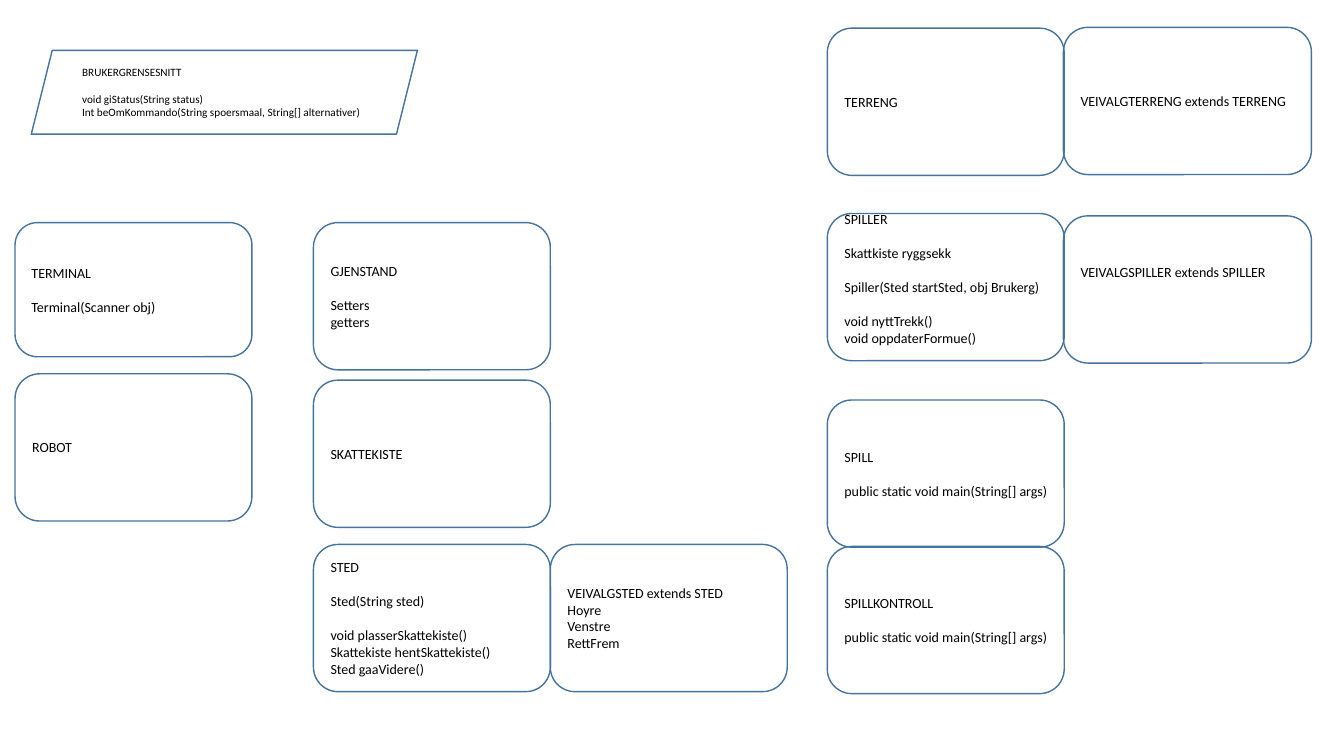
from pptx import Presentation
from pptx.dml.color import RGBColor
from pptx.enum.shapes import MSO_SHAPE
from pptx.enum.text import MSO_ANCHOR, PP_ALIGN
from pptx.util import Cm, Pt

FONT = "Calibri"
OUTLINE = "43739E"
TEXT = "000000"
LINE_HEIGHT = 1.22  # line pitch as a multiple of the font size
INSET = 0.13

# Left edges of the columns, in centimetres
TERMINALS, ITEMS, ITEM_SUBCLASSES, GAME, GAME_SUBCLASSES = 0.38, 7.9, 13.87, 20.85, 26.8
BOX_WIDTH, BOX_HEIGHT = 5.97, 3.71
WIDE = 6.25
MAIN_METHOD = "public static void main(String[] args)"

# Each class: left, top, sections of its text, exceptions to the usual box
CLASSES = [
    (TERMINALS, 5.61, ["TERMINAL", "Terminal(Scanner obj)"], {"height": 3.38}),
    (TERMINALS, 9.42, ["ROBOT"], {}),
    (ITEMS, 5.61, ["GJENSTAND", "Setters\ngetters"], {}),
    (GAME, 0.71, ["TERRENG"], {}),
    (ITEMS, 13.72, ["STED", "Sted(String sted)",
                    "void plasserSkattekiste()\n"
                    "Skattekiste hentSkattekiste()\n"
                    "Sted gaaVidere()"], {}),
    (ITEMS, 9.58, ["SKATTEKISTE"], {}),
    (GAME, 5.38, ["SPILLER", "Skattkiste ryggsekk",
                  "Spiller(Sted startSted, obj Brukerg)",
                  "void nyttTrekk()\nvoid oppdaterFormue()"], {"lines_below": 1}),
    (GAME, 10.08, ["SPILL", MAIN_METHOD], {}),
    (GAME, 13.77, ["SPILLKONTROLL", MAIN_METHOD], {}),
    (ITEM_SUBCLASSES, 13.72,
     ["VEIVALGSTED extends STED\nHoyre\nVenstre\nRettFrem"], {}),
    (GAME_SUBCLASSES, 5.44, ["VEIVALGSPILLER extends SPILLER"],
     {"width": WIDE, "lines_below": 2}),
    (GAME_SUBCLASSES, 0.69, ["VEIVALGTERRENG extends TERRENG"], {"width": WIDE}),
]


def color(hex_value):
    """Turn a hex string into a colour."""
    return RGBColor.from_string(hex_value)


def add_line(paragraph, text, size=10, gap=0):
    """Write one left-aligned line of text with a gap above it."""
    paragraph.alignment = PP_ALIGN.LEFT
    paragraph.space_before = Pt(gap)
    run = paragraph.add_run()
    run.text = text
    run.font.name = FONT
    run.font.size = Pt(size)
    run.font.color.rgb = color(TEXT)


def add_sections(text_frame, sections, size):
    """Write sections of lines, one line height apart."""
    paragraph = text_frame.paragraphs[0]
    for section_index, section in enumerate(sections):
        for line_index, line in enumerate(section.split("\n")):
            starts_section = section_index > 0 and line_index == 0
            if section_index or line_index:
                paragraph = text_frame.add_paragraph()
            add_line(paragraph, line, size=size,
                     gap=size * LINE_HEIGHT if starts_section else 0)


def add_box(slide, left, top, sections, width=BOX_WIDTH, height=BOX_HEIGHT,
            preset=MSO_SHAPE.ROUNDED_RECTANGLE, size=10, lines_below=0):
    """Add an outlined box with text, keeping some lines free below it."""
    shape = slide.shapes.add_shape(preset, Cm(left), Cm(top), Cm(width), Cm(height))
    shape.shadow.inherit = False
    shape.fill.background()
    shape.line.color.rgb = color(OUTLINE)
    shape.line.width = Pt(1)
    text_frame = shape.text_frame
    text_frame.word_wrap = True
    text_frame.vertical_anchor = MSO_ANCHOR.MIDDLE
    text_frame.margin_bottom = Cm(INSET) + Pt(lines_below * size * LINE_HEIGHT)
    add_sections(text_frame, sections, size)


def main():
    """Build the class overview and save it."""
    presentation = Presentation()
    presentation.slide_width = Cm(33.87)
    presentation.slide_height = Cm(19.05)
    slide = presentation.slides.add_slide(presentation.slide_layouts[6])
    add_box(slide, 0.79, 1.27,
            ["BRUKERGRENSESNITT",
             "void giStatus(String status)\n"
             "Int beOmKommando(String spoersmaal, String[] alternativer)"],
            width=9.73, height=2.11, preset=MSO_SHAPE.PARALLELOGRAM, size=8)
    for left, top, sections, exceptions in CLASSES:
        add_box(slide, left, top, sections, **exceptions)
    presentation.save("out.pptx")


main()
